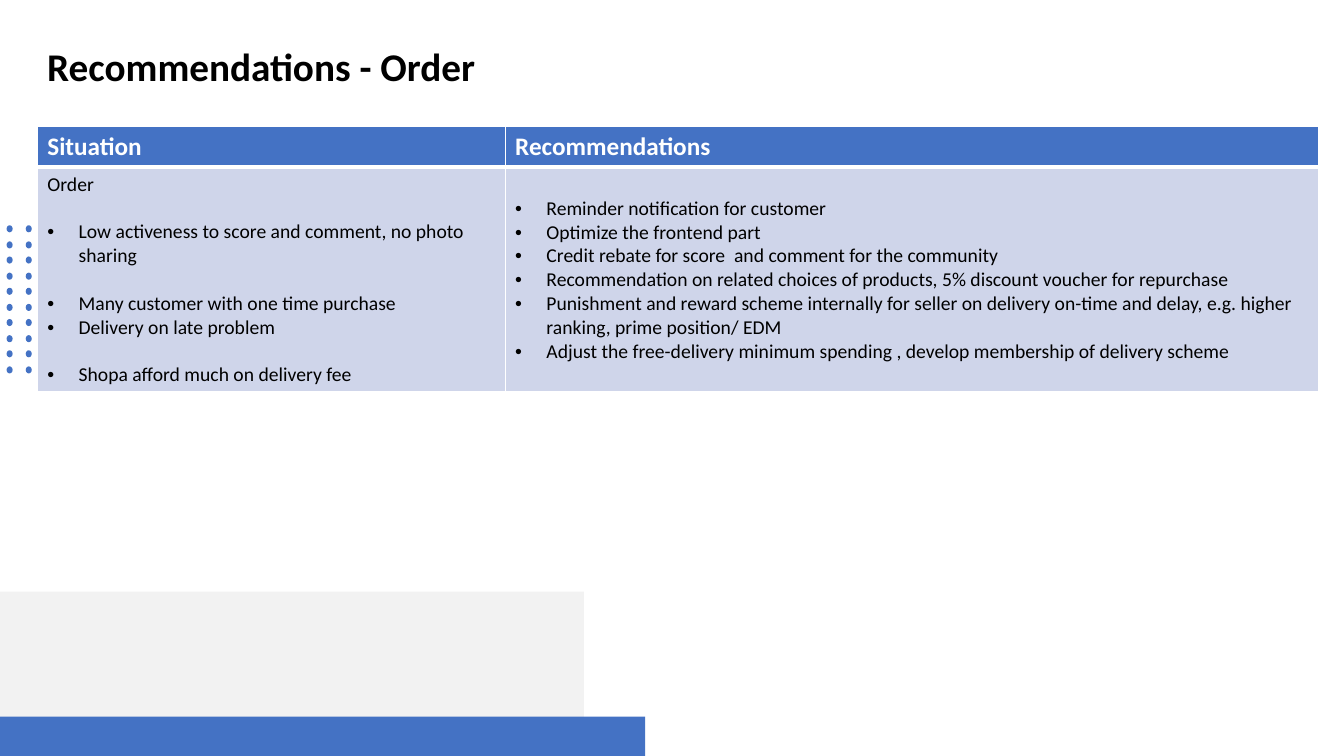
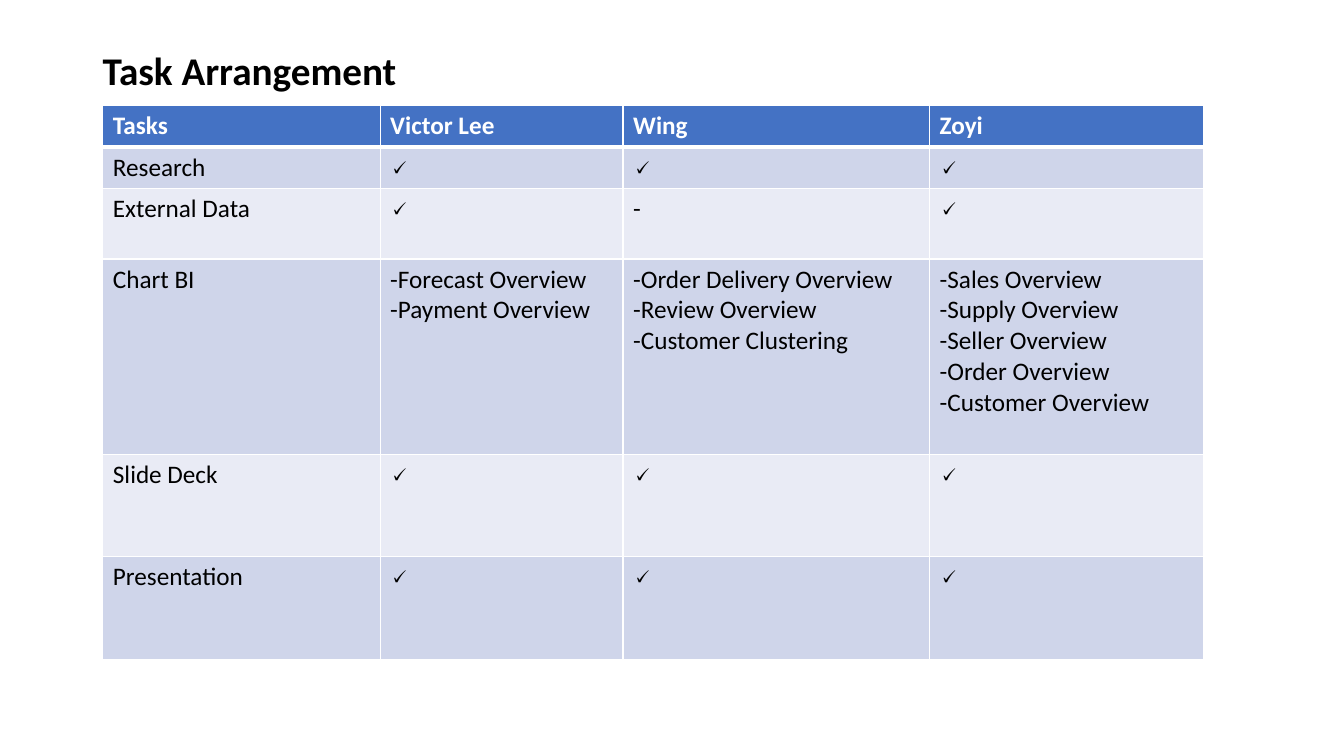
"""Build two slides: order recommendations and the task arrangement."""
from dataclasses import dataclass

from lxml.etree import SubElement
from pptx import Presentation
from pptx.dml.color import RGBColor
from pptx.enum.shapes import MSO_SHAPE
from pptx.enum.text import MSO_ANCHOR
from pptx.oxml import parse_xml
from pptx.oxml.ns import nsdecls, qn
from pptx.util import Emu, Pt

SCALE = 9144
FONT = "Calibri"
HEX = {
    "blue": "4472C4",
    "gray": "F2F2F2",
    "odd": "CFD5EA",
    "even": "E9EBF5",
    "white": "FFFFFF",
    "black": "000000",
}
TICK = "🗸"


@dataclass(frozen=True)
class Box:
    left: int
    top: int
    width: int
    height: int


@dataclass(frozen=True)
class Line:
    text: str
    bullet: bool = False
    after: int = 0


@dataclass(frozen=True)
class Cell:
    lines: tuple[Line, ...]
    top: int = 5


@dataclass(frozen=True)
class Grid:
    left: int
    top: int
    cols: tuple[int, ...]
    rows: tuple[int, ...]
    cells: tuple[tuple[Cell, ...], ...]
    size: int


def px(count: int) -> Emu:
    """Turn px into EMU."""
    return Emu(count * SCALE)


def place(box: Box) -> tuple[Emu, ...]:
    """Give the four lengths of a box in EMU."""
    return px(box.left), px(box.top), px(box.width), px(box.height)


def tint(name: str) -> RGBColor:
    """Look up a colour by name."""
    return RGBColor.from_string(HEX[name])


def plain(*texts: str) -> Cell:
    """Make a cell of plain lines."""
    return Cell(tuple(Line(text) for text in texts))


def write(para, text: str, size: int, color: str, bold: bool) -> None:
    """Add one styled run."""
    run = para.add_run()
    run.text = text
    run.font.name = FONT
    run.font.size = Pt(size)
    run.font.bold = bold
    run.font.color.rgb = tint(color)


def add_form(shapes, kind: MSO_SHAPE, box: Box, color: str):
    """Draw a flat shape without an outline."""
    form = shapes.add_shape(kind, *place(box))
    form.shadow.inherit = False
    form.fill.solid()
    form.fill.fore_color.rgb = tint(color)
    form.line.fill.background()
    return form


def add_title(slide, text: str, left: int, top: int) -> None:
    """Write the slide title."""
    frame = slide.shapes.add_textbox(*place(Box(left, top, 1150, 65))).text_frame
    frame.word_wrap = True
    frame.vertical_anchor = MSO_ANCHOR.MIDDLE
    para = frame.paragraphs[0]
    para.line_spacing = 0.9
    write(para, text, 28, "black", True)


def add_mark(para) -> None:
    """Give a paragraph a hanging bullet."""
    props = para._p.get_or_add_pPr()
    props.set("marL", str(px(31)))
    props.set("indent", str(px(-31)))
    SubElement(props, qn("a:buFont"), typeface="Arial")
    SubElement(props, qn("a:buChar"), char="•")


def add_edges(cell, row: int) -> None:
    """Draw white cell borders, thick under the header."""
    widths = {"L": 1, "R": 1, "T": 3 if row == 1 else 1, "B": 3 if row == 0 else 1}
    props = cell._tc.get_or_add_tcPr()
    for spot, (side, width) in enumerate(widths.items()):
        props.insert(spot, parse_xml(
            f'<a:ln{side} {nsdecls("a")} w="{Pt(width)}"><a:solidFill>'
            f'<a:srgbClr val="{HEX["white"]}"/></a:solidFill></a:ln{side}>'
        ))


def fill_cell(cell, data: Cell, row: int, size: int) -> None:
    """Set the fill, borders and text of a table cell."""
    head = row == 0
    cell.fill.solid()
    cell.fill.fore_color.rgb = tint("blue" if head else "odd" if row % 2 else "even")
    cell.margin_top = px(data.top)
    add_edges(cell, row)
    frame = cell.text_frame
    for spot, line in enumerate(data.lines):
        para = frame.add_paragraph() if spot else frame.paragraphs[0]
        if line.after:
            para.space_after = Pt(line.after)
        if line.bullet:
            add_mark(para)
        write(para, line.text, 18 if head else size, "white" if head else "black", head)


def add_grid(slide, grid: Grid) -> None:
    """Draw a table."""
    box = Box(grid.left, grid.top, sum(grid.cols), sum(grid.rows))
    table = slide.shapes.add_table(len(grid.rows), len(grid.cols), *place(box)).table
    for col, width in zip(table.columns, grid.cols):
        col.width = px(width)
    for row, height in zip(table.rows, grid.rows):
        row.height = px(height)
    for row, cells in enumerate(grid.cells):
        for col, data in enumerate(cells):
            fill_cell(table.cell(row, col), data, row, grid.size)


def add_dots(slide) -> None:
    """Draw the grid of dots at the left edge."""
    group = slide.shapes.add_group_shape()
    for row in range(10):
        for left in (6, 25):
            box = Box(left, 224 + round(row * 140 / 9), 7, 6)
            add_form(group.shapes, MSO_SHAPE.OVAL, box, "blue").rotation = 90


ORDER = Grid(
    37, 125, (464, 807), (41, 220),
    (
        (plain("Situation"), plain("Recommendations")),
        (
            Cell((
                Line("Order", after=17),
                Line("Low activeness to score and comment, no photo sharing", True, 17),
                Line("Many customer with one time purchase", True),
                Line("Delivery on late problem", True, 17),
                Line("Shopa afford much on delivery fee", True),
            )),
            Cell(tuple(Line(text, True) for text in (
                "Reminder notification for customer",
                "Optimize the frontend part",
                "Credit rebate for score  and comment for the community",
                "Recommendation on related choices of products, 5% discount voucher for repurchase",
                "Punishment and reward scheme internally for seller on delivery on-time and delay, "
                "e.g. higher ranking, prime position/ EDM",
                "Adjust the free-delivery minimum spending , develop membership of delivery scheme",
            )), top=29),
        ),
    ),
    14,
)

TICKS = (plain(TICK),) * 3
TASKS = Grid(
    102, 105, (275, 241, 304, 272), (41, 41, 70, 194, 101, 102),
    (
        tuple(plain(name) for name in ("Tasks", "Victor Lee", "Wing", "Zoyi")),
        (plain("Research"), *TICKS),
        (plain("External Data"), plain(TICK), plain("-"), plain(TICK)),
        (
            plain("Chart BI"),
            plain("-Forecast Overview", "-Payment Overview"),
            plain("-Order Delivery Overview", "-Review Overview", "-Customer Clustering"),
            plain("-Sales Overview", "-Supply Overview", "-Seller Overview",
                  "-Order Overview", "-Customer Overview"),
        ),
        (plain("Slide Deck"), *TICKS),
        (plain("Presentation"), *TICKS),
    ),
    18,
)


def main() -> None:
    """Build and save the deck."""
    deck = Presentation()
    deck.slide_width, deck.slide_height = px(1333), px(750)
    blank = deck.slide_layouts[6]

    order = deck.slides.add_slide(blank)
    add_form(order.shapes, MSO_SHAPE.RECTANGLE, Box(0, 587, 579, 163), "gray")
    add_dots(order)
    add_form(order.shapes, MSO_SHAPE.RECTANGLE, Box(0, 711, 640, 39), "blue")
    add_grid(order, ORDER)
    add_title(order, "Recommendations - Order", 37, 36)

    tasks = deck.slides.add_slide(blank)
    add_title(tasks, "Task Arrangement", 92, 40)
    add_grid(tasks, TASKS)

    deck.save("out.pptx")


if __name__ == "__main__":
    main()
